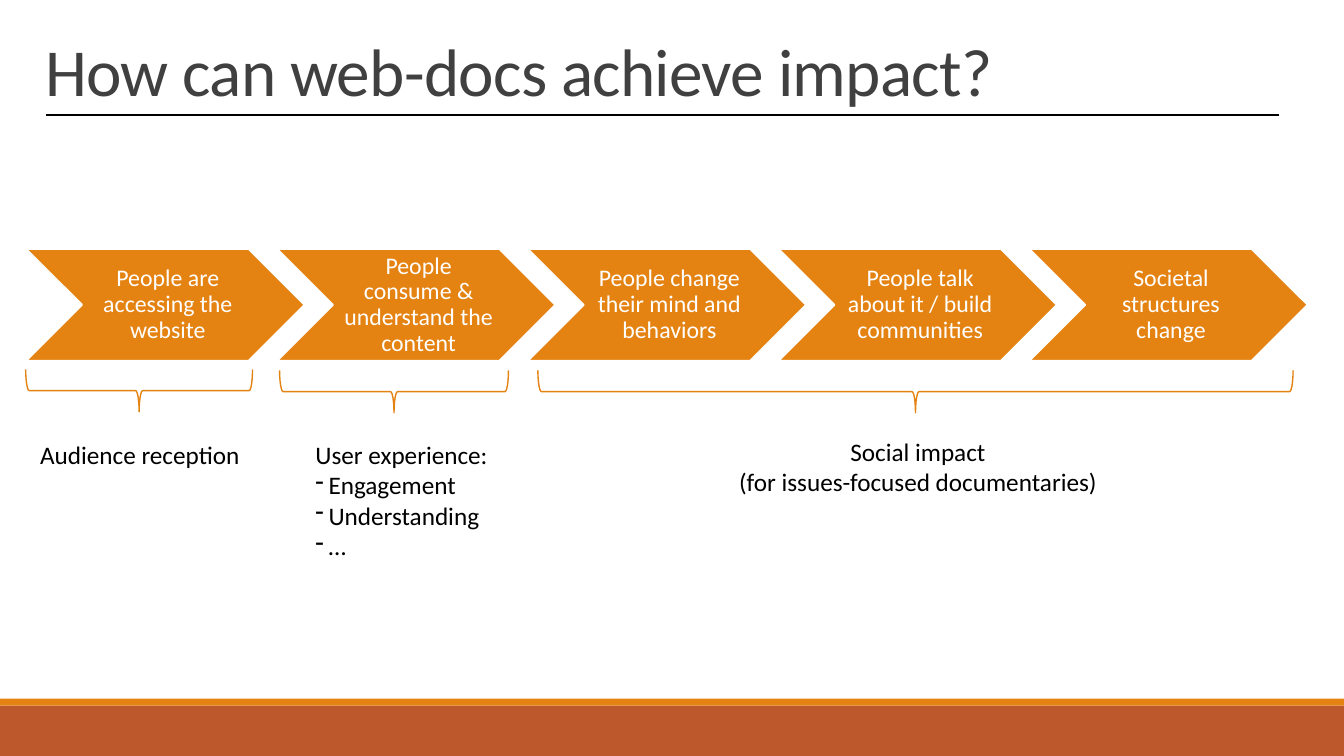
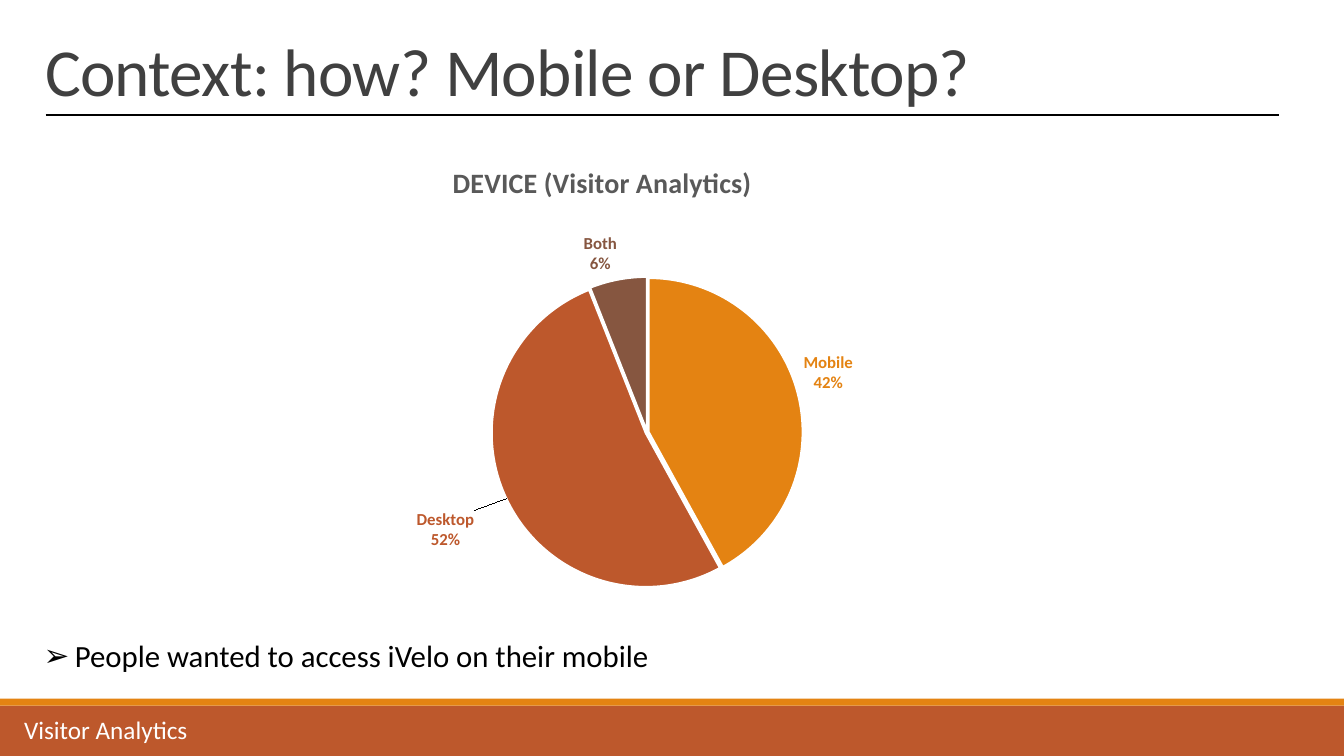
from lxml import etree
from pptx import Presentation
from pptx.chart.data import CategoryChartData
from pptx.dml.color import RGBColor
from pptx.enum.chart import XL_CHART_TYPE, XL_LABEL_POSITION
from pptx.enum.shapes import MSO_CONNECTOR, MSO_SHAPE
from pptx.enum.text import MSO_ANCHOR, MSO_AUTO_SIZE, PP_ALIGN
from pptx.oxml.ns import qn
from pptx.util import Inches, Pt

WIDTH, HEIGHT = Inches(13.33), Inches(7.5)
FONT = "Calibri"
ORANGE, RUST, BROWN = "E48312", "BD582C", "865640"
WHITE, BLACK, TITLE_GREY, CHART_GREY = "FFFFFF", "000000", "404040", "595959"

BANDS = [((0, 93.33, 100, 6.67), RUST), ((0, 92.4, 100, 0.93), ORANGE)]
TITLE_AREA = (2.6, 2.4, 82.5, 12.8)
RULE_LEFT, RULE_RIGHT, RULE_TOP = 3.4, 95.2, 15.2

STEPS = [
    "People are accessing the website",
    "People consume & understand the content",
    "People change their mind and behaviors",
    "People talk about it / build communities",
    "Societal structures change",
]
STEP_LEFT, STEP_TOP, STEP_WIDTH, STEP_HEIGHT, STEP_PITCH = 1.95, 32.93, 20.7, 14.8, 18.66
BRACES = [(1.91, 48.87, 16.88), (20.8, 49, 17.03), (40.02, 49, 56.19)]
BRACE_DEPTH = 5.6

DEVICES = [("Mobile", 42, ORANGE), ("Desktop", 52, RUST), ("Both", 6, BROWN)]


def color(hex_value):
    return RGBColor.from_string(hex_value)


def x(share):
    """Length for a percentage of the slide's width."""
    return round(WIDTH * share / 100)


def y(share):
    """Length for a percentage of the slide's height."""
    return round(HEIGHT * share / 100)


def box(left, top, width, height):
    return x(left), y(top), x(width), y(height)


def apply(target, formats):
    for attribute, value in formats.items():
        setattr(target, attribute, value)


def style_font(font, size, hex_value, bold=False):
    apply(font, {"name": FONT, "size": Pt(size), "bold": bold})
    font.color.rgb = color(hex_value)


def add_bullet(paragraph, mark, indent):
    properties = paragraph._p.get_or_add_pPr()
    properties.set("marL", str(Inches(indent)))
    properties.set("indent", str(-Inches(indent)))
    etree.SubElement(properties, qn("a:buChar")).set("char", mark)


def write(frame, lines, size, hex_value, **paragraph_formats):
    """Fill a text frame, one paragraph a line, and return the paragraphs."""
    for number, line in enumerate(lines):
        paragraph = frame.paragraphs[0] if number == 0 else frame.add_paragraph()
        apply(paragraph, paragraph_formats)
        run = paragraph.add_run()
        run.text = line
        style_font(run.font, size, hex_value)
    return frame.paragraphs


def add_label(slide, area, lines, hex_value=BLACK, align=PP_ALIGN.LEFT):
    frame = slide.shapes.add_textbox(*box(*area)).text_frame
    frame.word_wrap = False
    return write(frame, lines, 18, hex_value, alignment=align)


def add_filled(slide, preset, area, hex_value):
    shape = slide.shapes.add_shape(preset, *box(*area))
    shape.shadow.inherit = False
    shape.fill.solid()
    shape.fill.fore_color.rgb = color(hex_value)
    shape.line.fill.background()
    return shape


def add_master_bands(master, slide):
    """Draw the bottom bands on a slide, then move them to its master."""
    for number, (area, hex_value) in enumerate(BANDS):
        band = add_filled(slide, MSO_SHAPE.RECTANGLE, area, hex_value).element
        band.nvSpPr.cNvPr.set("id", str(100 + number))
        master.shapes.element.insert(2 + number, band)


def add_heading(slide, text):
    title = slide.shapes.title
    apply(title, dict(zip(("left", "top", "width", "height"), box(*TITLE_AREA))))
    apply(title.text_frame, {
        "vertical_anchor": MSO_ANCHOR.BOTTOM,
        "auto_size": MSO_AUTO_SIZE.NONE,
        "word_wrap": True,
    })
    heading = write(title.text_frame, [text], 48, TITLE_GREY,
                    alignment=PP_ALIGN.LEFT, line_spacing=0.85)[0]
    heading.runs[0]._r.get_or_add_rPr().set("spc", "-50")

    rule = slide.shapes.add_connector(
        MSO_CONNECTOR.STRAIGHT, x(RULE_LEFT), y(RULE_TOP), x(RULE_RIGHT), y(RULE_TOP))
    rule.line.width = Pt(1)
    rule.line.color.rgb = color(BLACK)
    etree.SubElement(rule.element.spPr, qn("a:effectLst"))


def add_step(slide, number, text):
    area = (STEP_LEFT + number * STEP_PITCH, STEP_TOP, STEP_WIDTH, STEP_HEIGHT)
    step = add_filled(slide, MSO_SHAPE.CHEVRON, area, ORANGE)
    step.line.color.rgb = color(WHITE)
    step.line.width = Pt(1.25)
    apply(step.text_frame, {
        "margin_left": Inches(0.08), "margin_right": Inches(0.03),
        "margin_top": Inches(0.02), "margin_bottom": Inches(0.02),
        "vertical_anchor": MSO_ANCHOR.MIDDLE, "word_wrap": True,
    })
    write(step.text_frame, [text], 17, WHITE, alignment=PP_ALIGN.CENTER, line_spacing=0.9)


def add_brace(slide, left, top, span):
    """Add a brace pointing down: a right brace turned about its centre."""
    depth, length = y(BRACE_DEPTH), x(span)
    shift = (length - depth) // 2
    brace = slide.shapes.add_shape(
        MSO_SHAPE.RIGHT_BRACE, x(left) + shift, y(top) - shift, depth, length)
    brace.rotation = 90
    brace.shadow.inherit = False
    brace.fill.background()
    brace.line.color.rgb = color(ORANGE)
    brace.line.width = Pt(1)


def set_chart_layout(parent, position, **values):
    """Give a chart part a manual layout as its child at the given position."""
    for old in parent.findall(qn("c:layout")):
        parent.remove(old)
    layout = etree.Element(qn("c:layout"))
    manual = etree.SubElement(layout, qn("c:manualLayout"))
    for tag, value in values.items():
        etree.SubElement(manual, qn(f"c:{tag}")).set("val", str(value))
    parent.insert(position, layout)


def style_slices(series):
    series.data_labels.show_value = False
    series.data_labels.show_percentage = True
    series.data_labels.show_category_name = True
    series.data_labels.position = XL_LABEL_POSITION.OUTSIDE_END
    for number, (_, _, hex_value) in enumerate(DEVICES):
        point = series.points[number]
        point.format.fill.solid()
        point.format.fill.fore_color.rgb = color(hex_value)
        point.format.line.color.rgb = color(WHITE)
        point.format.line.width = Pt(1.5)
        style_font(point.data_label.font, 12, hex_value, bold=True)
        point.data_label.position = XL_LABEL_POSITION.OUTSIDE_END

    element = series._element
    explosion = etree.Element(qn("c:explosion"))
    explosion.set("val", "1")
    element.find(qn("c:tx")).addnext(explosion)
    labels = list(element.iter(qn("c:dLbl")))
    for label in labels:
        for tag, shown in (("showVal", 0), ("showCatName", 1), ("showPercent", 1)):
            label.find(qn(f"c:{tag}")).set("val", str(shown))
        etree.SubElement(label, qn("c:separator")).text = "\n"
    set_chart_layout(labels[1], 1, x=-0.05, y=0.02)


def add_device_chart(slide, area, title):
    data = CategoryChartData()
    data.categories = [name for name, _, _ in DEVICES]
    data.add_series("Series 1", [share for _, share, _ in DEVICES])
    chart = slide.shapes.add_chart(XL_CHART_TYPE.PIE, *box(*area), data).chart
    style_font(chart.font, 10, BLACK)
    chart.has_legend = False
    chart.has_title = True
    write(chart.chart_title.text_frame, [title], 20, CHART_GREY)[0].runs[0].font.bold = True
    set_chart_layout(chart.chart_title._element, 1,
                     xMode="edge", yMode="edge", x=0.14, y=0.03)
    plot = chart.plots[0]
    plot.vary_by_categories = True
    style_slices(plot.series[0])
    set_chart_layout(plot._element.getparent(), 0, layoutTarget="inner",
                     xMode="edge", yMode="edge", x=0.22, y=0.29, w=0.59, h=0.68)


def add_finding(slide, area, text):
    body = slide.placeholders[1]
    apply(body, dict(zip(("left", "top", "width", "height"), box(*area))))
    frame = body.text_frame
    frame.auto_size = MSO_AUTO_SIZE.NONE
    add_bullet(frame.paragraphs[0], "➢", 0.31)
    write(frame, [text], 22, BLACK, space_before=Pt(0))


def build_impact(slide):
    add_heading(slide, "How can web-docs achieve impact?")
    for number, text in enumerate(STEPS):
        add_step(slide, number, text)
    for brace in BRACES:
        add_brace(slide, *brace)
    add_label(slide, (2.25, 57.47, 16.58, 5.33), ["Audience reception"])
    experience = add_label(slide, (22.73, 57.47, 14.48, 17.47),
                           ["User experience:", "Engagement", "Understanding", "…"])
    for aspect in experience[1:]:
        add_bullet(aspect, "-", 0.13)
    add_label(slide, (54.09, 57.07, 28.43, 9.47),
              ["Social impact", "(for issues-focused documentaries)"],
              align=PP_ALIGN.CENTER)


def build_devices(slide):
    add_heading(slide, "Context: how? Mobile or Desktop?")
    add_label(slide, (1.05, 93.87, 14.33, 5.33), ["Visitor Analytics"], WHITE)
    add_device_chart(slide, (27.76, 19.07, 39.6, 60.53), "DEVICE (Visitor Analytics)")
    add_finding(slide, (2.5, 83.6, 91.8, 6.27), "People wanted to access iVelo on their mobile")


def main():
    deck = Presentation()
    deck.slide_width, deck.slide_height = WIDTH, HEIGHT
    impact = deck.slides.add_slide(deck.slide_layouts.get_by_name("Title Only"))
    devices = deck.slides.add_slide(deck.slide_layouts.get_by_name("Title and Content"))
    add_master_bands(deck.slide_master, impact)
    build_impact(impact)
    build_devices(devices)
    deck.save("out.pptx")


if __name__ == "__main__":
    main()
